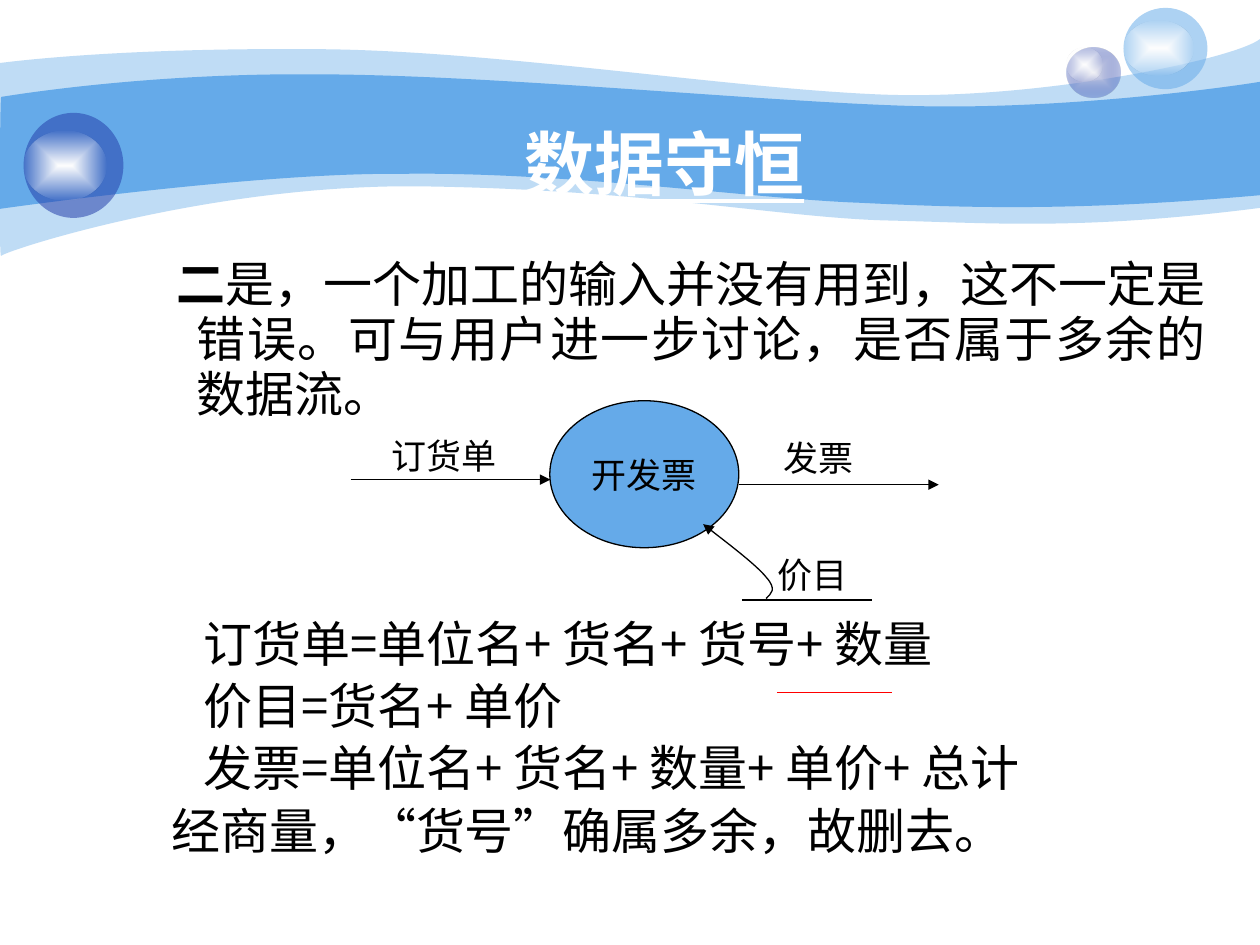
import lxml.etree
import pptx
import pptx.dml.color
import pptx.enum.shapes
import pptx.enum.text
import pptx.oxml.ns
import pptx.util

Pt = pptx.util.Pt
RGBColor = pptx.dml.color.RGBColor
qn = pptx.oxml.ns.qn
ALIGN = pptx.enum.text.PP_ALIGN
ANCHOR = pptx.enum.text.MSO_ANCHOR
SHAPE = pptx.enum.shapes.MSO_SHAPE

SKY = RGBColor(0x65, 0xAA, 0xE9)
NAVY = RGBColor(0x23, 0x3D, 0xA9)
PEARL = RGBColor(0xE1, 0xE2, 0xED)
WHITE = RGBColor(0xFF, 0xFF, 0xFF)
BLACK = RGBColor(0, 0, 0)
RED = RGBColor(0xFF, 0, 0)

LATIN = "Arial"
CHINESE = "Noto Sans CJK SC"

# Each outline is a start point, then cubic segments (three points) or straight ones (one point)
OUTER_BAND = [
    (0, 36),
    [(17.3, 33.8), (77, 27.4), (177.8, 28.1)],
    [(277.9, 28.1), (414, 50.4), (503.3, 54)],
    [(591.8, 57.6), (705.6, 33.8), (720, 22.3)],
    [(720, 118.8)],
    [(618.2, 131.8), (566.6, 127.4), (507.6, 126)],
    [(447.8, 124.6), (370.8, 108.7), (247, 106.6)],
    [(123.8, 103.7), (2.9, 143.3), (0.7, 146.2)],
    [(-0.7, 149.8), (0, 54), (0, 36)],
]
INNER_BAND = [
    (0.7, 55.4),
    [(1.4, 55.4), (79.2, 41.8), (178.6, 42.5)],
    [(277.9, 42.5), (428.4, 57.6), (517, 60.5)],
    [(605.5, 63.4), (702.7, 49.7), (720, 46.8)],
    [(720, 111.6)],
    [(614.2, 121), (550.8, 118.8), (491, 115.9)],
    [(431.3, 113.8), (322.6, 97.9), (228.2, 99.4)],
    [(146.2, 98.6), (-1.4, 119.5), (-0.7, 119.5)],
    [(0, 119.5), (0, 55.4), (0.7, 55.4)],
]
PRICE_CURVE = [
    (437.8, 342),
    [(440.6, 339.1), (444.2, 337), (437.8, 329.8)],
    [(432, 322.6), (408.2, 304.6), (401.8, 299.5)],
]


def write_text(paragraph, text, size=20, font=LATIN, color=BLACK, bold=False, underline=False):
    run = paragraph.add_run()
    run.text = text
    run.font.size = Pt(size)
    run.font.bold = bold
    run.font.underline = underline
    run.font.color.rgb = color
    run.font.name = font
    lxml.etree.SubElement(run.font._element, qn("a:ea"), typeface=CHINESE)


def set_fill(shape, color, opacity=100):
    shape.fill.solid()
    shape.fill.fore_color.rgb = color
    if opacity < 100:
        color_element = shape._element.spPr.find(qn("a:solidFill"))[0]
        lxml.etree.SubElement(color_element, qn("a:alpha"), val=str(opacity * 1000))


def set_glow(shape, center, edge, edge_opacity):
    """Fill with a gradient that runs from the centre to the outline."""
    shape.fill.gradient()
    gradient = shape._element.spPr.find(qn("a:gradFill"))
    for child in list(gradient):
        gradient.remove(child)
    stops = lxml.etree.SubElement(gradient, qn("a:gsLst"))
    for position, color, opacity in ((0, center, 100), (100, edge, edge_opacity)):
        stop = lxml.etree.SubElement(stops, qn("a:gs"), pos=str(position * 1000))
        value = lxml.etree.SubElement(stop, qn("a:srgbClr"), val=str(color))
        lxml.etree.SubElement(value, qn("a:alpha"), val=str(opacity * 1000))
    focus = lxml.etree.SubElement(gradient, qn("a:path"), path="shape")
    middle = {side: "50000" for side in "ltrb"}
    lxml.etree.SubElement(focus, qn("a:fillToRect"), **middle)


def set_line(shape, color=BLACK, arrow=False):
    shape.line.color.rgb = color
    shape.line.width = Pt(0.75)
    if arrow:
        line = shape._element.spPr.find(qn("a:ln"))
        lxml.etree.SubElement(line, qn("a:tailEnd"), type="triangle")


def add_ellipse(slide, left, top, width, height, preset=SHAPE.OVAL):
    shape = slide.shapes.add_shape(preset, Pt(left), Pt(top), Pt(width), Pt(height))
    shape.shadow.inherit = False
    shape.line.fill.background()
    return shape


def add_outline(slide, outline, close):
    start, *segments = outline
    builder = slide.shapes.build_freeform(Pt(start[0]), Pt(start[1]))
    anchors = [(Pt(segment[-1][0]), Pt(segment[-1][1])) for segment in segments]
    builder.add_line_segments(anchors, close=close)
    shape = builder.convert_to_shape()
    shape.shadow.inherit = False
    # Turn the straight steps with control points into curves
    steps = list(shape._element.iter(qn("a:lnTo")))
    for step, segment in zip(steps, segments):
        if len(segment) == 3:
            curve = lxml.etree.Element(qn("a:cubicBezTo"))
            for x, y in segment:
                lxml.etree.SubElement(curve, qn("a:pt"), x=str(Pt(x) - shape.left),
                                      y=str(Pt(y) - shape.top))
            step.getparent().replace(step, curve)
    return shape


def add_line(slide, left, right, y, color=BLACK, arrow=False):
    connector = slide.shapes.add_connector(
        pptx.enum.shapes.MSO_CONNECTOR.STRAIGHT, Pt(left), Pt(y), Pt(right), Pt(y))
    set_line(connector, color, arrow)
    lxml.etree.SubElement(connector._element.spPr, qn("a:effectLst"))


def add_label(slide, text, left, top, width):
    box = slide.shapes.add_textbox(Pt(left), Pt(top), Pt(width), Pt(31))
    box.text_frame.word_wrap = True
    write_text(box.text_frame.paragraphs[0], text)


def place(slide, placeholder, left, top, width, height):
    """Move a placeholder and bring it in front of the decoration."""
    placeholder.left, placeholder.top = Pt(left), Pt(top)
    placeholder.width, placeholder.height = Pt(width), Pt(height)
    slide.shapes._spTree.append(placeholder._element)
    placeholder.text_frame.auto_size = pptx.enum.text.MSO_AUTO_SIZE.NONE
    return placeholder.text_frame


def add_decoration(slide):
    for outline, opacity in ((OUTER_BAND, 41), (INNER_BAND, 100)):
        band = add_outline(slide, outline, close=True)
        set_fill(band, SKY, opacity)
        band.line.fill.background()
    # Orbs, each with a white highlight
    set_glow(add_ellipse(slide, 609.5, 27, 30.5, 29), PEARL, NAVY, 31)
    set_glow(add_ellipse(slide, 609.5, 27, 20.5, 19.5), WHITE, WHITE, 0)
    set_fill(add_ellipse(slide, 642, 4.5, 48, 46.5), SKY, 53)
    set_glow(add_ellipse(slide, 642, 12, 40, 31), WHITE, WHITE, 0)
    set_fill(add_ellipse(slide, 13.5, 64.5, 57, 60), NAVY, 53)
    set_glow(add_ellipse(slide, 13.5, 74.5, 47.5, 40), WHITE, WHITE, 0)


def add_title(slide, text):
    frame = place(slide, slide.shapes.title, 95, 48, 569, 90)
    frame.vertical_anchor = ANCHOR.MIDDLE
    frame.paragraphs[0].alignment = ALIGN.CENTER
    write_text(frame.paragraphs[0], text, size=40, color=WHITE, bold=True, underline=True)


def add_body(slide):
    frame = place(slide, slide.placeholders[1], 77.75, 138.25, 618.25, 378)
    frame.margin_top = Pt(8.6)
    # Margin, first-line indent, space before, runs
    rows = [
        (27.4, -11.7, 0, [("二", {"bold": True}), (
            "是，一个加工的输入并没有用到，这不一定是错误。可与用户进一步讨论，是否属于多余的数据流。", {})]),
        (31.4, 0, 111.5, [("订货单=单位名+ 货名+ 货号+ 数量", {})]),
        (31.4, 0, 4.2, [("价目=货名+ 单价", {})]),
        (31.4, 0, 4.2, [("发票=单位名+ 货名+ 数量+ 单价+ 总计", {})]),
        (13, 0, 4.2, [("经商量，", {}), ("“", {"font": LATIN}), ("货号", {}),
                      ("”", {"font": LATIN}), ("确属多余，故删去。", {})]),
    ]
    for index, (margin, indent, space, runs) in enumerate(rows):
        paragraph = frame.add_paragraph() if index else frame.paragraphs[0]
        paragraph.alignment = ALIGN.JUSTIFY
        paragraph.line_spacing = Pt(31.4)
        paragraph.space_before = Pt(space)
        properties = paragraph._element.get_or_add_pPr()
        properties.set("marL", str(Pt(margin)))
        properties.set("indent", str(Pt(indent)))
        lxml.etree.SubElement(properties, qn("a:buNone"))
        for text, options in runs:
            write_text(paragraph, text, **{"size": 28, "font": CHINESE, **options})


def add_flow_diagram(slide):
    process = add_ellipse(slide, 314.2, 229, 108, 84, SHAPE.FLOWCHART_CONNECTOR)
    set_fill(process, SKY)
    set_line(process)
    process.text_frame.word_wrap = False
    process.text_frame.vertical_anchor = ANCHOR.MIDDLE
    process.text_frame.paragraphs[0].alignment = ALIGN.CENTER
    write_text(process.text_frame.paragraphs[0], "开发票")
    # Data flows and the price store
    add_line(slide, 424, 498.2, 342.9)
    add_line(slide, 200.4, 314.5, 274.1, arrow=True)
    add_line(slide, 422.2, 536.4, 277, arrow=True)
    add_label(slide, "价目", 437, 313, 60)
    add_label(slide, "发票", 440.5, 246, 56)
    add_label(slide, "订货单", 216.5, 245, 90)
    curve = add_outline(slide, PRICE_CURVE, close=False)
    curve.fill.background()
    set_line(curve, arrow=True)


def main():
    presentation = pptx.Presentation()
    presentation.slide_width, presentation.slide_height = Pt(720), Pt(540)
    slide = presentation.slides.add_slide(presentation.slide_layouts[1])
    add_decoration(slide)
    add_title(slide, "数据守恒")
    add_body(slide)
    add_flow_diagram(slide)
    # Red mark under the surplus item
    add_line(slide, 444, 510, 395.9, color=RED)
    presentation.save("out.pptx")


if __name__ == "__main__":
    main()
